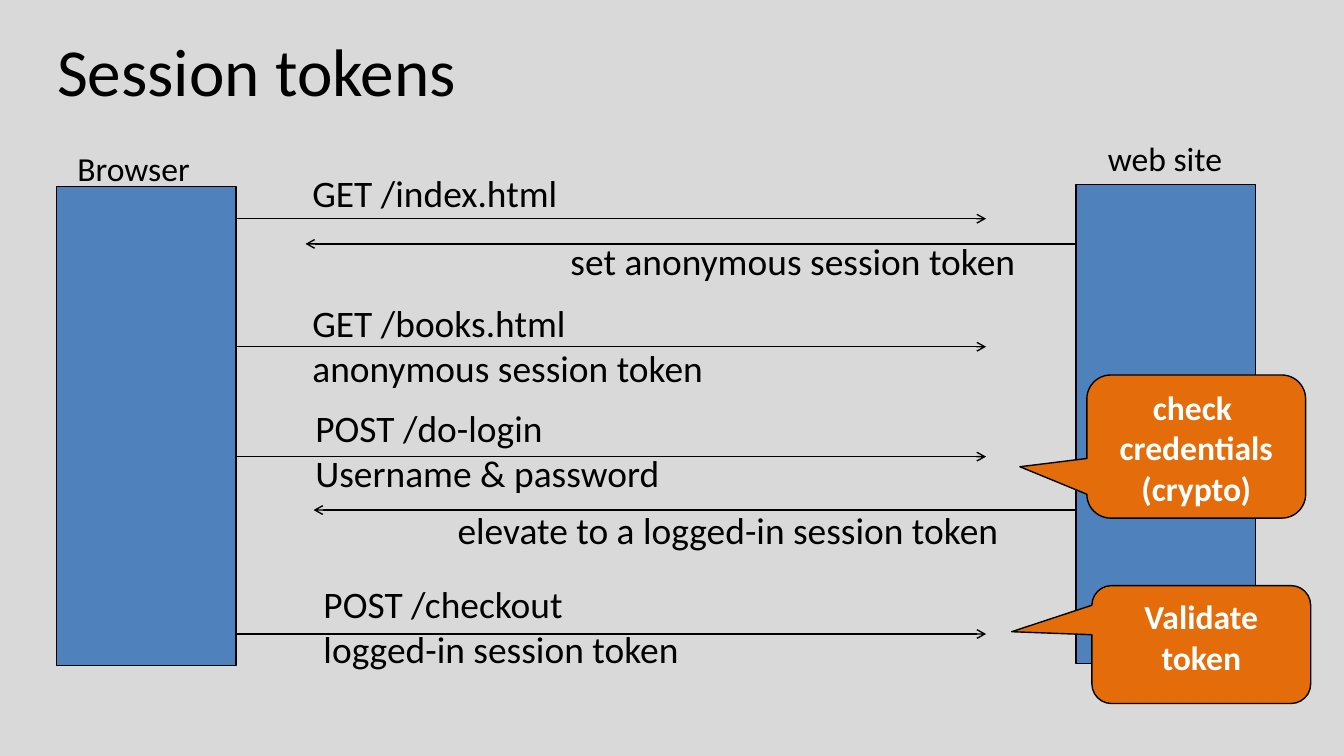
"""Build the session tokens slide: messages between a browser and a web site."""
from lxml import etree
from pptx import Presentation
from pptx.dml.color import RGBColor
from pptx.enum import shapes, text
from pptx.oxml import ns
from pptx.util import Inches, Pt

COLORS = {"background": "D9D9D9", "host": "4F81BD", "callout": "E46C0A",
          "ink": "000000", "callout_text": "FFFFFF"}
BROWSER_EDGE, REQUEST_END, SITE_EDGE = 2.33, 9.78, 10.67


def write(frame, lines, size, color="ink", bold=False, align=None):
    """Fill a text frame with one paragraph per line."""
    frame.word_wrap = False
    frame.text = "\n".join(lines)
    for paragraph in frame.paragraphs:
        paragraph.alignment = align
        paragraph.font.name = "Calibri"
        paragraph.font.size = Pt(size)
        paragraph.font.bold = bold
        paragraph.font.color.rgb = RGBColor.from_string(COLORS[color])


def add_block(kind, box, fill):
    """Add a filled shape with a thin outline."""
    block = slide.shapes.add_shape(kind, *map(Inches, box))
    block.shadow.inherit = False
    block.fill.solid()
    block.fill.fore_color.rgb = RGBColor.from_string(COLORS[fill])
    block.line.color.rgb = RGBColor.from_string(COLORS["ink"])
    block.line.width = Pt(1)
    return block


prs = Presentation()
prs.slide_width, prs.slide_height = Inches(13.33), Inches(7.5)
slide = prs.slides.add_slide(prs.slide_layouts[5])
slide.background.fill.solid()
slide.background.fill.fore_color.rgb = RGBColor.from_string(COLORS["background"])

title = slide.shapes.title
title.left, title.top, title.width, title.height = map(Inches, (0.1, 0.07, 4.89, 1.25))
write(title.text_frame, ["Session tokens"], 48, align=text.PP_ALIGN.CENTER)
title.text_frame.vertical_anchor = text.MSO_ANCHOR.MIDDLE

for left, top in [(0.56, 1.85), (SITE_EDGE, 1.83)]:
    add_block(shapes.MSO_SHAPE.RECTANGLE, (left, top, 1.78, 4.75), "host")

messages = [
    (BROWSER_EDGE, REQUEST_END, 2.17),
    (SITE_EDGE, 3.03, 2.42),
    (BROWSER_EDGE, REQUEST_END, 3.44),
    (BROWSER_EDGE, REQUEST_END, 4.53),
    (SITE_EDGE, 3.11, 5.06),
    (BROWSER_EDGE, REQUEST_END, 6.29),
]
for start, end, y in messages:
    arrow = slide.shapes.add_connector(
        shapes.MSO_CONNECTOR.STRAIGHT, Inches(start), Inches(y), Inches(end), Inches(y))
    arrow.line.color.rgb = RGBColor.from_string(COLORS["ink"])
    arrow.line.width = Pt(1)
    etree.SubElement(arrow.line._get_or_add_ln(), ns.qn("a:tailEnd"), type="arrow")
    etree.SubElement(arrow._element.spPr, ns.qn("a:effectLst"))

labels = [
    (0.67, 1.42, 1.33, 24, ["Browser"]),
    (10.89, 1.32, 1.35, 24, ["web site"]),
    (3, 1.64, 2.65, 26.7, ["GET /index.html"]),
    (5.56, 2.31, 4.64, 26.7, ["set anonymous session token"]),
    (3, 2.93, 4.1, 26.7, ["GET /books.html", "anonymous session token"]),
    (3.03, 3.97, 3.63, 26.7, ["POST /do-login", "Username & password"]),
    (4.44, 4.98, 5.6, 26.7, ["elevate to a logged-in session token"]),
    (3.11, 5.72, 3.75, 26.7, ["POST /checkout", "logged-in session token"]),
]
for left, top, width, size, lines in labels:
    label = slide.shapes.add_textbox(
        Inches(left), Inches(top), Inches(width), Inches(0.1 + 0.45 * len(lines)))
    write(label.text_frame, lines, size)

callouts = [
    ((10.78, 3.72, 2.17, 1.42), (-0.806, 0.141), ["check \vcredentials", "(crypto)"]),
    ((10.83, 5.81, 2.17, 1.17), (-0.867, -0.109), ["Validate", "token"]),
]
for box, tip, lines in callouts:
    callout = add_block(shapes.MSO_SHAPE.ROUNDED_RECTANGULAR_CALLOUT, box, "callout")
    callout.adjustments[0], callout.adjustments[1] = tip
    callout.text_frame.vertical_anchor = text.MSO_ANCHOR.TOP
    write(callout.text_frame, lines, 24, "callout_text", True, text.PP_ALIGN.CENTER)

prs.save("out.pptx")
